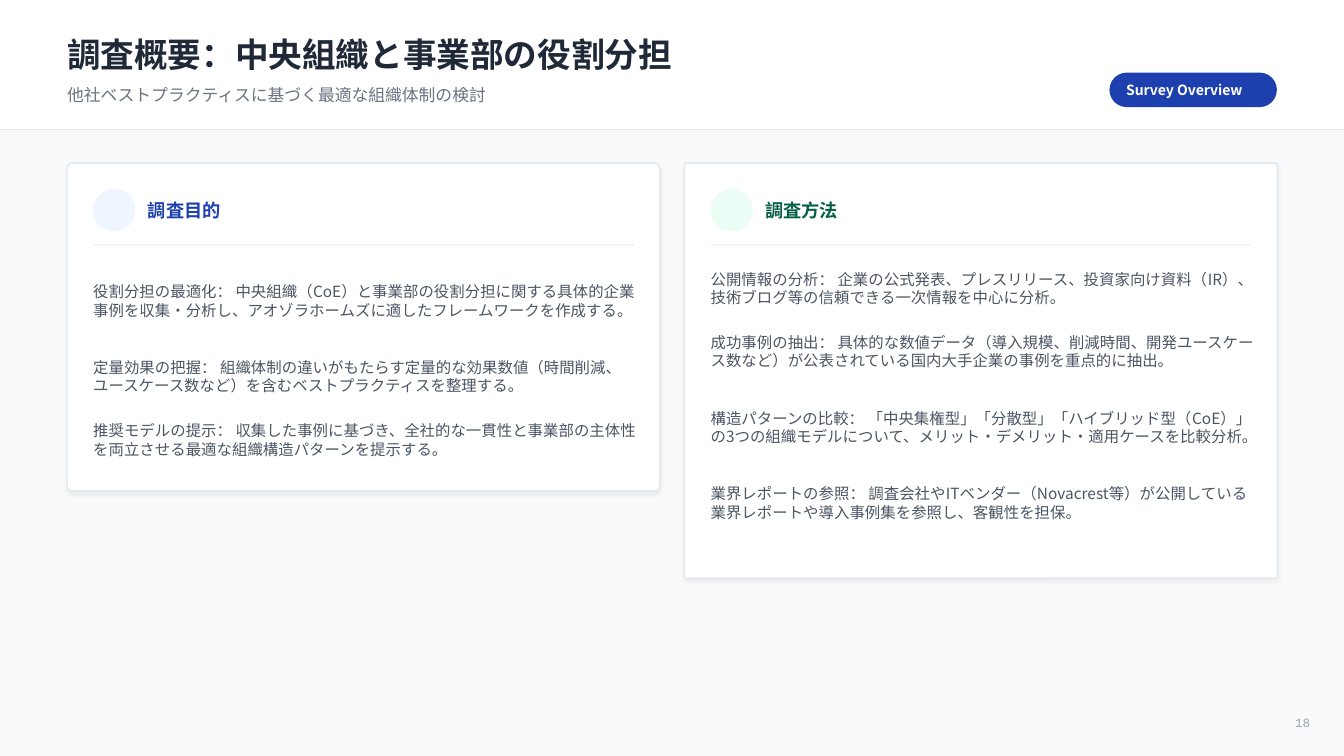
from lxml.etree import SubElement
from pptx import Presentation
from pptx.dml.color import RGBColor
from pptx.enum.shapes import MSO_CONNECTOR, MSO_SHAPE
from pptx.enum.text import MSO_ANCHOR, MSO_AUTO_SIZE, PP_ALIGN
from pptx.oxml.ns import qn
from pptx.util import Cm, Pt

SLIDE_WIDTH, SLIDE_HEIGHT = 33.87, 19.05
MARGIN = 1.69
HEADER_HEIGHT = 3.26
CARD_TOP, CARD_WIDTH, CARD_GAP = 4.11, 14.94, 0.62
CARD_PADDING = 0.66
LINE_HEIGHT, ITEM_GAP = 0.635, 0.32
JAPANESE_FONT = "Noto Sans CJK JP"

COLORS = {
    "white": "FFFFFF", "background": "F8FAFC", "header rule": "E5E7EB",
    "title": "1F2937", "subtitle": "6B7280", "body": "4B5563",
    "page number": "9CA3AF", "card border": "E2E8F0", "card rule": "F1F5F9",
    "blue": "1E40AF", "pale blue": "EFF6FF",
    "green": "065F46", "pale green": "ECFDF5", "shadow": "000000",
}

FORMATS = {
    "title": {"size": Pt(24), "bold": True, "name": JAPANESE_FONT},
    "subtitle": {"size": Pt(12), "bold": False, "name": JAPANESE_FONT},
    "badge": {"size": Pt(10), "bold": True, "name": JAPANESE_FONT},
    "heading": {"size": Pt(13), "bold": True, "name": JAPANESE_FONT},
    "body": {"size": Pt(11), "bold": False, "name": JAPANESE_FONT},
    "page number": {"size": Pt(9), "bold": False, "name": "Courier New"},
}

# Each item is its text and the number of lines its box reserves.
CARDS = [
    {"heading": "調査目的", "color": "blue", "icon": "pale blue",
     "height": 8.26, "rounding": 0.016, "items": [
         ("役割分担の最適化： 中央組織（CoE）と事業部の役割分担に関する具体的企業事例を収集・分析し、"
          "アオゾラホームズに適したフレームワークを作成する。", 3),
         ("定量効果の把握： 組織体制の違いがもたらす定量的な効果数値（時間削減、ユースケース数など）を含む"
          "ベストプラクティスを整理する。", 2),
         ("推奨モデルの提示： 収集した事例に基づき、全社的な一貫性と事業部の主体性を両立させる"
          "最適な組織構造パターンを提示する。", 2),
     ]},
    {"heading": "調査方法", "color": "green", "icon": "pale green",
     "height": 10.46, "rounding": 0.005, "items": [
         ("公開情報の分析： 企業の公式発表、プレスリリース、投資家向け資料（IR）、"
          "技術ブログ等の信頼できる一次情報を中心に分析。", 2),
         ("成功事例の抽出： 具体的な数値データ（導入規模、削減時間、開発ユースケース数など）が"
          "公表されている国内大手企業の事例を重点的に抽出。", 2),
         ("構造パターンの比較： 「中央集権型」「分散型」「ハイブリッド型（CoE）」の3つの組織モデルについて、"
          "メリット・デメリット・適用ケースを比較分析。", 3),
         ("業界レポートの参照： 調査会社やITベンダー（Novacrest等）が公開している"
          "業界レポートや導入事例集を参照し、客観性を担保。", 2),
     ]},
]


def rgb(color):
    return RGBColor.from_string(COLORS[color])


def write_text(shape, text, style, color):
    frame = shape.text_frame
    frame_format = {
        "margin_left": 0, "margin_right": 0, "margin_top": 0, "margin_bottom": 0,
        "auto_size": MSO_AUTO_SIZE.NONE, "word_wrap": True,
        "vertical_anchor": MSO_ANCHOR.MIDDLE,
    }
    for name, value in frame_format.items():
        setattr(frame, name, value)
    paragraph = frame.paragraphs[0]
    paragraph.alignment = PP_ALIGN.LEFT
    run = paragraph.add_run()
    run.text = text
    for name, value in FORMATS[style].items():
        setattr(run.font, name, value)
    run.font.color.rgb = rgb(color)
    east_asian = SubElement(run.font._element, qn("a:ea"))
    east_asian.set("typeface", FORMATS[style]["name"])


def add_text(slide, box, text, style, color):
    shape = slide.shapes.add_textbox(*map(Cm, box))
    write_text(shape, text, style, color)


def add_panel(slide, box, fill, rounding=None, border=None):
    kind = MSO_SHAPE.RECTANGLE if rounding is None else MSO_SHAPE.ROUNDED_RECTANGLE
    shape = slide.shapes.add_shape(kind, *map(Cm, box))
    shape.shadow.inherit = False
    if rounding is not None:
        shape.adjustments[0] = rounding
    shape.fill.solid()
    shape.fill.fore_color.rgb = rgb(fill)
    if border:
        shape.line.color.rgb = rgb(border)
        shape.line.width = Pt(1)
    else:
        shape.line.fill.background()
    return shape


def add_rule(slide, left, top, width, color, weight):
    rule = slide.shapes.add_connector(
        MSO_CONNECTOR.STRAIGHT, Cm(left), Cm(top), Cm(left + width), Cm(top))
    rule.line.color.rgb = rgb(color)
    rule.line.width = Pt(weight)
    SubElement(rule._element.spPr, qn("a:effectLst"))


def add_soft_shadow(shape):
    effects = shape._element.spPr.find(qn("a:effectLst"))
    shadow = SubElement(effects, qn("a:outerShdw"), blurRad=str(Pt(3)),
                        dist=str(Pt(2)), dir="5400000", algn="bl", rotWithShape="0")
    color = SubElement(shadow, qn("a:srgbClr"), val=COLORS["shadow"])
    SubElement(color, qn("a:alpha"), val="5000")


def add_header(slide, box):
    left, top, width, height = box
    add_panel(slide, box, "white")
    add_rule(slide, left, top + height, width, "header rule", 0.75)

    title = slide.shapes.title
    title_format = {"left": Cm(left + MARGIN), "top": Cm(top + 0.74),
                    "width": Cm(15.9), "height": Cm(1.22)}
    for name, value in title_format.items():
        setattr(title, name, value)
    write_text(title, "調査概要：中央組織と事業部の役割分担", "title", "title")
    # The header panel belongs behind the title placeholder.
    slide.shapes._spTree.append(title._element)

    add_text(slide, (left + MARGIN, top + 2.08, 10.9, 0.64),
             "他社ベストプラクティスに基づく最適な組織体制の検討", "subtitle", "subtitle")
    badge_width = 4.22
    badge_left = left + width - MARGIN - badge_width
    add_panel(slide, (badge_left, top + 1.83, badge_width, 0.87), "blue", 0.5)
    add_text(slide, (badge_left + 0.42, top + 2.0, 3.63, 0.53),
             "Survey Overview", "badge", "white")


def add_card(slide, box, card):
    left, top, width, _ = box
    inner_left = left + CARD_PADDING
    add_soft_shadow(add_panel(slide, box, "white", card["rounding"], "card border"))
    add_rule(slide, inner_left, top + 2.06, width - 2 * CARD_PADDING, "card rule", 1.5)
    add_panel(slide, (inner_left, top + CARD_PADDING, 1.06, 1.06), card["icon"], 0.48)
    add_text(slide, (left + 2.04, top + 0.84, 2.26, 0.69),
             card["heading"], "heading", card["color"])
    item_top = top + 2.52
    for text, lines in card["items"]:
        height = lines * LINE_HEIGHT
        add_text(slide, (inner_left, item_top, 13.9, height), text, "body", "body")
        item_top += height + ITEM_GAP


def main():
    presentation = Presentation()
    presentation.slide_width = Cm(SLIDE_WIDTH)
    presentation.slide_height = Cm(SLIDE_HEIGHT)
    slide = presentation.slides.add_slide(presentation.slide_layouts[5])
    slide.background.fill.solid()
    slide.background.fill.fore_color.rgb = rgb("background")

    add_header(slide, (0, 0, SLIDE_WIDTH, HEADER_HEIGHT))
    for column, card in enumerate(CARDS):
        left = MARGIN + column * (CARD_WIDTH + CARD_GAP)
        add_card(slide, (left, CARD_TOP, CARD_WIDTH, card["height"]), card)
    add_text(slide, (32.64, 18.01, 0.64, 0.38), "18", "page number", "page number")
    presentation.save("out.pptx")


if __name__ == "__main__":
    main()
